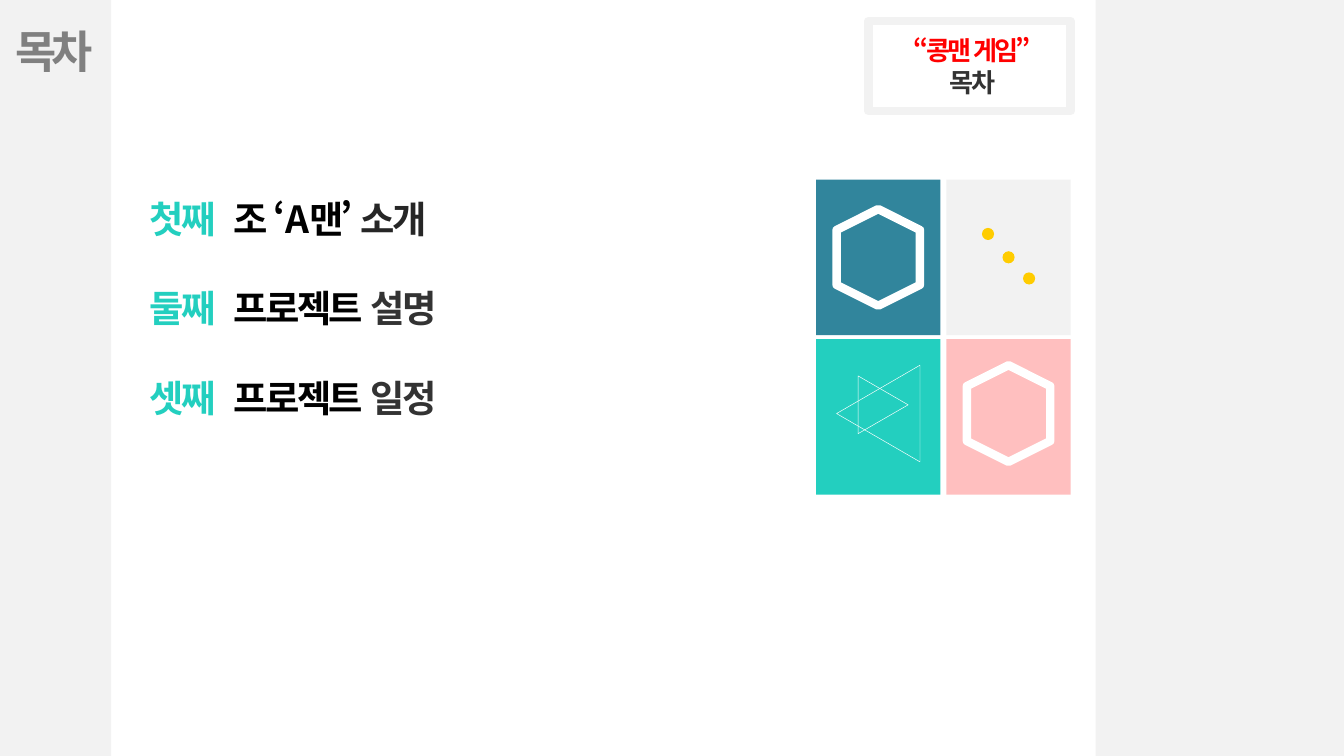
from lxml import etree
from pptx import Presentation
from pptx.dml.color import RGBColor
from pptx.enum.lang import MSO_LANGUAGE_ID
from pptx.enum.shapes import MSO_SHAPE
from pptx.enum.text import MSO_ANCHOR, MSO_AUTO_SIZE, PP_ALIGN
from pptx.oxml.ns import qn
from pptx.util import Pt

RECT, HEXAGON = MSO_SHAPE.RECTANGLE, MSO_SHAPE.HEXAGON
TRIANGLE, OVAL = MSO_SHAPE.ISOSCELES_TRIANGLE, MSO_SHAPE.OVAL
LEFT, CENTER = PP_ALIGN.LEFT, PP_ALIGN.CENTER
TOP, NO_FIT = MSO_ANCHOR.TOP, MSO_AUTO_SIZE.NONE
KOREAN = MSO_LANGUAGE_ID.KOREAN

FONT = "Noto Sans CJK KR"
WHITE = RGBColor(0xFF, 0xFF, 0xFF)
PALE = RGBColor(0xF2, 0xF2, 0xF2)
GRAY = RGBColor(0x80, 0x80, 0x80)
DARK = RGBColor(0x33, 0x33, 0x33)
CHARCOAL = RGBColor(0x26, 0x26, 0x26)
BLACK = RGBColor(0, 0, 0)
RED = RGBColor(0xFF, 0, 0)
BLUE = RGBColor(0x31, 0x85, 0x9C)
TEAL = RGBColor(0x23, 0xCF, 0xBF)
PINK = RGBColor(0xFF, 0xBF, 0xBF)
YELLOW = RGBColor(0xFF, 0xCC, 0x00)

WIDTH, HEIGHT = 720, 405
AGENDA = [
    ("첫째", "조 ‘A맨’", " 소개", CHARCOAL),
    ("둘째", "프로젝트", " 설명", DARK),
    ("셋째", "프로젝트", " 일정", DARK),
]


def add_shape(s, kind, box, fill=None, line=None, weight=1, rotation=0):
    sp = s.shapes.add_shape(kind, *map(Pt, box))
    sp.shadow.inherit = False
    sp.rotation = rotation
    if fill is None:
        sp.fill.background()
    else:
        sp.fill.solid()
        sp.fill.fore_color.rgb = fill
    if line is None:
        sp.line.fill.background()
    else:
        sp.line.color.rgb = line
        sp.line.width = Pt(weight)
    return sp


def add_centered(s, kind, tile, offset, size, **style):
    """Place a shape by the offset of its centre from the tile's centre."""
    x, y, w, h = tile
    left = x + w / 2 + offset[0] - size[0] / 2
    top = y + h / 2 + offset[1] - size[1] / 2
    return add_shape(s, kind, (left, top, *size), **style)


def add_run(p, text, color, size, spacing):
    r = p.add_run()
    r.text = text
    for name, value in {"name": FONT, "size": Pt(size), "bold": True,
                        "language_id": KOREAN}.items():
        setattr(r.font, name, value)
    r.font.color.rgb = color
    rPr = r.font._element
    rPr.set("spc", str(int(spacing * 100)))
    rPr.find(qn("a:latin")).addnext(
        etree.Element(qn("a:ea"), typeface=FONT))


def format_frame(tf):
    for name, value in {"word_wrap": True, "auto_size": NO_FIT,
                        "vertical_anchor": TOP}.items():
        setattr(tf, name, value)


def add_text_box(s, box):
    tf = s.shapes.add_textbox(*map(Pt, box)).text_frame
    format_frame(tf)
    return tf


def next_paragraph(tf, index):
    return tf.add_paragraph() if index else tf.paragraphs[0]


def add_sidebar(s, box):
    bar = add_shape(s, RECT, box, fill=PALE)
    title = s.shapes.title
    title.element.addprevious(bar.element)
    x, y, w, _ = box
    for name, value in {"left": x + 1.2, "top": y + 9,
                        "width": w - 3, "height": 36}.items():
        setattr(title, name, Pt(value))
    format_frame(title.text_frame)
    p = title.text_frame.paragraphs[0]
    p.alignment = LEFT
    add_run(p, "목차", GRAY, 24, -3)


def add_agenda(s, box):
    tf = add_text_box(s, box)
    for i, (order, subject, rest, color) in enumerate(AGENDA):
        p = next_paragraph(tf, i)
        tabs = etree.SubElement(p._p.get_or_add_pPr(), qn("a:tabLst"))
        etree.SubElement(tabs, qn("a:tab"), pos=str(Pt(45)), algn="l")
        p.line_spacing = 2.0
        for text, rgb in ((order + "\t", TEAL), (subject, BLACK),
                          (rest, color)):
            add_run(p, text, rgb, 20, -1.5)


def add_badge(s, box):
    x, y, w, h = box
    tf = add_text_box(s, (x + 1.6, y + 3.6, w, h - 7))
    tf.margin_left = tf.margin_right = 0
    for i, (text, color) in enumerate((("“콩맨 게임”", RED), ("목차", DARK))):
        p = next_paragraph(tf, i)
        p.alignment = CENTER
        add_run(p, text, color, 14, -1.5)
    add_shape(s, RECT, box, line=PALE, weight=4.5)


def add_tiles(s, box, gap_x=3.2, gap_y=2.1):
    x, y, w, h = box
    tile_w, tile_h = (w - gap_x) / 2, (h - gap_y) / 2
    tiles = []
    for i, color in enumerate((BLUE, PALE, TEAL, PINK)):
        row, col = divmod(i, 2)
        tile = (x + col * (tile_w + gap_x), y + row * (tile_h + gap_y),
                tile_w, tile_h)
        add_shape(s, RECT, tile, fill=color)
        tiles.append(tile)
    blue, pale, teal, pink = tiles

    large, small = (51.8, 44.7), (31, 26.8)
    for kind, tile, offset, size, weight, rotation in (
            (HEXAGON, blue, (0, 0), large, 4.5, 270),
            (TRIANGLE, teal, (0, -1.8), large, 0.25, 270),
            (HEXAGON, pink, (0, -1.8), large, 4.5, 270),
            (TRIANGLE, teal, (-4.1, -2.6), small, 0.25, 210)):
        add_centered(s, kind, tile, offset, size, line=WHITE,
                     weight=weight, rotation=rotation)
    for offset in ((-11, -12.5), (0, 0), (11, 11.3)):
        add_centered(s, OVAL, pale, offset, (6.5, 6.5), fill=YELLOW)


def main():
    prs = Presentation()
    prs.slide_width, prs.slide_height = Pt(WIDTH), Pt(HEIGHT)
    s = prs.slides.add_slide(prs.slide_layouts[5])
    add_sidebar(s, (0, 0, 59.5, HEIGHT))
    add_agenda(s, (73.2, 77.4, 281.5, 150.5))
    add_badge(s, (465.2, 11.4, 108.3, 48.1))
    add_tiles(s, (437.2, 96.2, 136.4, 168.8))
    add_shape(s, RECT, (587, 0, WIDTH - 587, HEIGHT), fill=PALE)
    prs.save("out.pptx")


if __name__ == "__main__":
    main()
